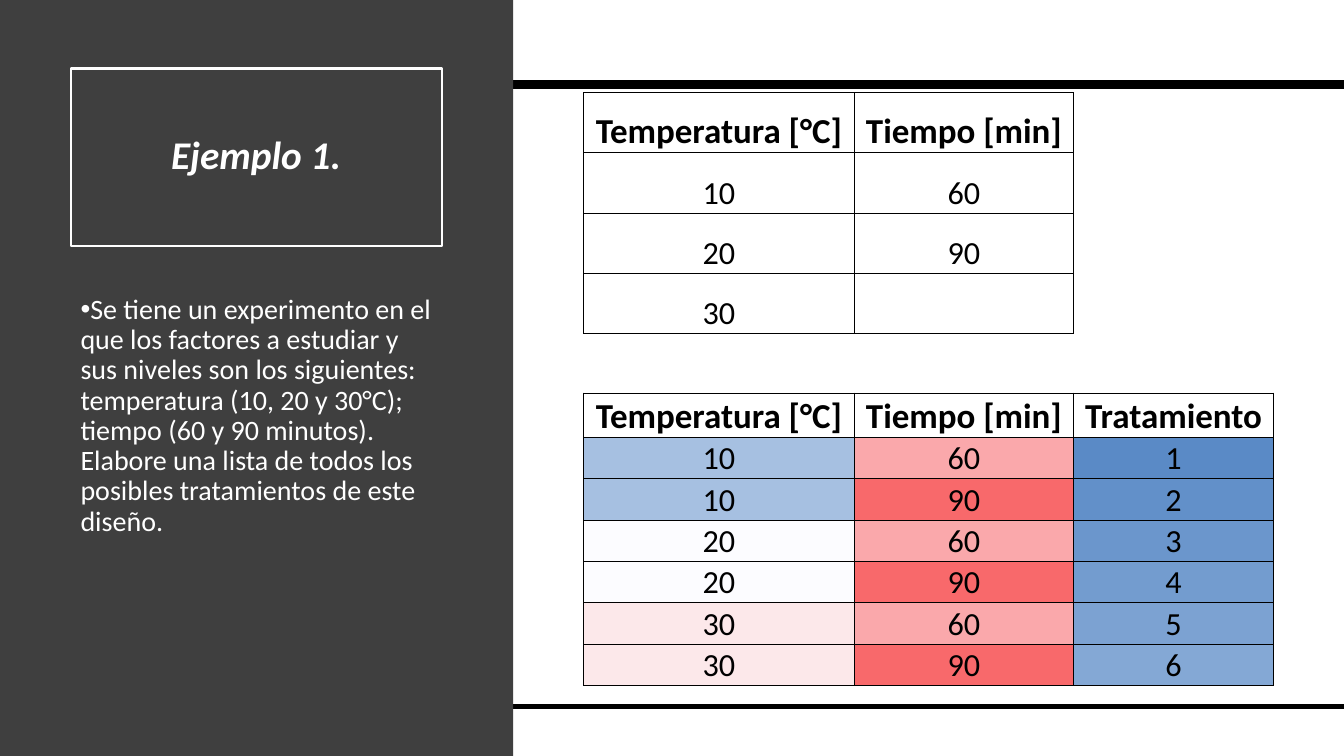
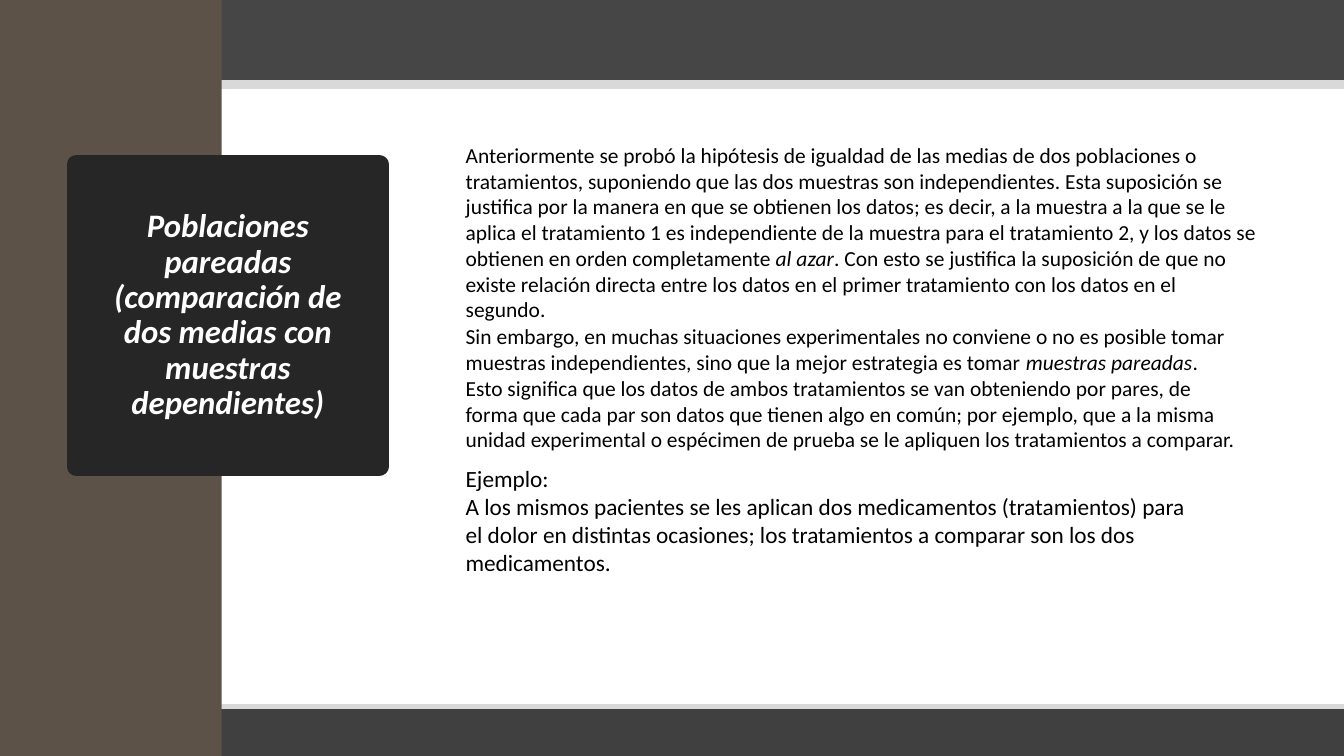
import pptx
import pptx.dml.color
import pptx.enum.shapes
import pptx.enum.text
import pptx.oxml.ns
import pptx.util
from dataclasses import dataclass
from typing import Optional

from lxml import etree
from pptx.util import Inches

ALIGN = pptx.enum.text.PP_ALIGN
ANCHOR = pptx.enum.text.MSO_ANCHOR
qn = pptx.oxml.ns.qn


@dataclass(frozen=True)
class Theme:
    font: str = "Calibri"
    white: str = "FFFFFF"
    black: str = "000000"
    charcoal: str = "3F3F3F"
    footer_gray: str = "404040"
    ink: str = "262626"
    rule_gray: str = "D9D9D9"
    brown: str = "5C5248"
    title: float = 28
    long_title: float = 23.4
    statement: float = 20
    body: float = 15.3
    example: float = 16.6
    table_head: float = 25
    table_body: float = 23
    no_style: str = "{2D5ABB26-0587-4C30-8999-92F81FD0307C}"


THEME = Theme()


@dataclass(frozen=True)
class Area:
    left: float
    top: float
    width: float
    height: float

    def lengths(self) -> tuple:
        return tuple(Inches(n) for n in (self.left, self.top, self.width, self.height))


@dataclass(frozen=True)
class Frame:
    """Colours of the bands and side panel around a slide."""
    header: str
    footer: str
    rule: str
    panel: str
    panel_width: float


@dataclass(frozen=True)
class TitleStyle:
    area: Area
    size: float
    fill: Optional[str]
    line: str
    line_width: float


@dataclass(frozen=True)
class Span:
    text: str
    italic: bool = False


@dataclass(frozen=True)
class TextBlock:
    area: Area
    size: float
    paras: tuple[tuple[Span, ...], ...]
    color: str = THEME.black


@dataclass(frozen=True)
class Cell:
    text: str
    fill: Optional[str] = None
    bold: bool = False


def rgb(color: str) -> pptx.dml.color.RGBColor:
    return pptx.dml.color.RGBColor.from_string(color)


def format_run(run, size: float, color: str, bold: bool = False, italic: bool = False) -> None:
    run.font.name = THEME.font
    run.font.size = pptx.util.Pt(size)
    run.font.color.rgb = rgb(color)
    run.font.bold = bold
    run.font.italic = italic


# Shared frame and title
def add_band(page, area: Area, fill: str, line: Optional[str] = None,
             width: float = 0, alpha: int = 100) -> None:
    band = page.shapes.add_shape(pptx.enum.shapes.MSO_SHAPE.RECTANGLE, *area.lengths())
    band.shadow.inherit = False
    band.fill.solid()
    band.fill.fore_color.rgb = rgb(fill)
    if alpha < 100:
        color = band.element.spPr.find(".//" + qn("a:srgbClr"))
        etree.SubElement(color, qn("a:alpha"), val=str(alpha * 1000))
    if line:
        band.line.color.rgb = rgb(line)
        band.line.width = pptx.util.Pt(width)
    else:
        band.line.fill.background()


def add_frame(page, frame: Frame) -> None:
    add_band(page, Area(-0.1, -0.07, 13.52, 0.91), frame.header, frame.rule, 6, alpha=85)
    add_band(page, Area(-0.1, 7.01, 13.52, 0.6), frame.footer, frame.rule, 3)
    add_band(page, Area(0, 0, frame.panel_width, 7.5), frame.panel)


def set_title(page, text: str, style: TitleStyle) -> None:
    title = page.shapes.title
    title.left, title.top, title.width, title.height = style.area.lengths()
    # Bring the title in front of the side panel
    title.element.getparent().append(title.element)
    if style.fill:
        title.fill.solid()
        title.fill.fore_color.rgb = rgb(style.fill)
    title.line.color.rgb = rgb(style.line)
    title.line.width = pptx.util.Pt(style.line_width)
    etree.SubElement(title.element.spPr.find(qn("a:ln")), qn("a:round"))
    frame = title.text_frame
    frame.text = text
    frame.word_wrap = True
    frame.auto_size = pptx.enum.text.MSO_AUTO_SIZE.NONE
    frame.vertical_anchor = ANCHOR.MIDDLE
    para = frame.paragraphs[0]
    para.alignment = ALIGN.CENTER
    para.line_spacing = 0.9
    for run in para.runs:
        format_run(run, style.size, THEME.white, bold=True, italic=True)


def add_page(deck, title: str, style: TitleStyle, frame: Frame):
    page = deck.slides.add_slide(deck.slide_layouts.get_by_name("Title Only"))
    add_frame(page, frame)
    set_title(page, title, style)
    return page


# Text
def add_text(page, block: TextBlock):
    box = page.shapes.add_textbox(*block.area.lengths())
    frame = box.text_frame
    frame.word_wrap = True
    for index, spans in enumerate(block.paras):
        para = frame.add_paragraph() if index else frame.paragraphs[0]
        for span in spans:
            run = para.add_run()
            run.text = span.text
            format_run(run, block.size, block.color, italic=span.italic)
    return box


def add_bullet(para) -> None:
    para.line_spacing = 0.9
    para.space_after = pptx.util.Pt(6)
    properties = para._p.get_or_add_pPr()
    properties.set("marL", "0")
    properties.set("indent", str(-Inches(0.25)))
    etree.SubElement(properties, qn("a:buFont"), typeface="Arial")
    etree.SubElement(properties, qn("a:buChar"), char="•")


# Tables
def set_border(cell, side: str) -> None:
    line = etree.SubElement(cell._tc.get_or_add_tcPr(), qn("a:ln" + side),
                            w=str(pptx.util.Pt(0.5)))
    fill = etree.SubElement(line, qn("a:solidFill"))
    etree.SubElement(fill, qn("a:srgbClr"), val=THEME.black)


def fill_cell(cell, content: Cell) -> None:
    cell.margin_left = cell.margin_right = cell.margin_top = Inches(0.02)
    cell.margin_bottom = 0
    cell.vertical_anchor = ANCHOR.BOTTOM
    if content.fill:
        cell.fill.solid()
        cell.fill.fore_color.rgb = rgb(content.fill)
    if content.text:
        para = cell.text_frame.paragraphs[0]
        para.text = content.text
        para.alignment = ALIGN.CENTER
        size = THEME.table_head if content.bold else THEME.table_body
        format_run(para.runs[0], size, THEME.black, content.bold)


def add_grid(page, area: Area, widths: list, heights: list,
             cells: dict[tuple[int, int], Cell]) -> None:
    """Draw a table in which only the listed cells are boxed."""
    table = page.shapes.add_table(len(heights), len(widths), *area.lengths()).table
    table.first_row = table.horz_banding = False
    table._tbl.tblPr.find(qn("a:tableStyleId")).text = THEME.no_style
    for column, width in zip(table.columns, widths):
        column.width = Inches(width)
    for row, height in zip(table.rows, heights):
        row.height = Inches(height)
    neighbours = {"L": (0, -1), "R": (0, 1), "T": (-1, 0), "B": (1, 0)}
    for r in range(len(heights)):
        for c in range(len(widths)):
            cell = table.cell(r, c)
            for side, (down, right) in neighbours.items():
                if (r, c) in cells or (r + down, c + right) in cells:
                    set_border(cell, side)
            cell.fill.background()
            if (r, c) in cells:
                fill_cell(cell, cells[r, c])


def factor_cells() -> dict[tuple[int, int], Cell]:
    """Factor levels on top, all treatments below a blank row."""
    headings = ("Temperatura [°C]", "Tiempo [min]", "Tratamiento")
    temperatures = {"10": "A6C0E1", "20": "FCFCFF", "30": "FCE8EA"}
    times = {"60": "FAA8AB", "90": "F8696B"}
    treatments = ("5A8AC6", "6290C9", "6B96CC", "739CCF", "7CA2D2", "84A8D5")
    cells = {(0, c): Cell(headings[c], bold=True) for c in range(2)}
    for r, level in enumerate(temperatures, 1):
        cells[r, 0] = Cell(level)
    for r, level in enumerate([*times, ""], 1):
        cells[r, 1] = Cell(level)
    cells.update({(5, c): Cell(text, bold=True) for c, text in enumerate(headings)})
    pairs = [(degrees, minutes) for degrees in temperatures for minutes in times]
    for number, ((degrees, minutes), shade) in enumerate(zip(pairs, treatments), 1):
        row = (Cell(degrees, temperatures[degrees]), Cell(minutes, times[minutes]),
               Cell(str(number), shade))
        cells.update({(5 + number, c): cell for c, cell in enumerate(row)})
    return cells


# Slides
def build_example(deck) -> None:
    style = TitleStyle(Area(0.7, 0.68, 3.68, 1.76), THEME.title, None, THEME.white, 1.5)
    frame = Frame(THEME.white, THEME.white, THEME.black, THEME.charcoal, 5.09)
    page = add_page(deck, "Ejemplo 1.", style, frame)
    statement = Span(
        "Se tiene un experimento en el que los factores a estudiar y sus niveles son los "
        "siguientes: temperatura (10, 20 y 30°C); tiempo (60 y 90 minutos). Elabore una "
        "lista de todos los posibles tratamientos de este diseño.")
    box = add_text(page, TextBlock(Area(0.7, 2.88, 3.68, 3.74), THEME.statement,
                                   ((statement,),), THEME.white))
    add_bullet(box.text_frame.paragraphs[0])
    heights = [2.98 / 5] * 5 + [0.44] + [0.41] * 6
    add_grid(page, Area(5.79, 0.92, 6.84, sum(heights)), [2.68, 2.18, 1.98], heights,
             factor_cells())


def build_paired(deck) -> None:
    style = TitleStyle(Area(0.76, 1.63, 3, 3), THEME.long_title, THEME.ink, THEME.ink, 13.75)
    frame = Frame(THEME.ink, THEME.footer_gray, THEME.rule_gray, THEME.brown, 2.2)
    page = add_page(deck, "Poblaciones pareadas (comparación de\vdos medias con muestras "
                    "dependientes)", style, frame)
    independent = (
        Span("Anteriormente se probó la hipótesis de igualdad de las medias de dos poblaciones "
             "o tratamientos, suponiendo que las dos muestras son independientes. Esta "
             "suposición se justifica por la manera en que se obtienen los datos; es decir, a "
             "la muestra a la que se le aplica el tratamiento 1 es independiente de la muestra "
             "para el tratamiento 2, y los datos se obtienen en orden completamente "),
        Span("al azar", italic=True),
        Span(". Con esto se justifica la suposición de que no existe relación directa entre "
             "los datos en el primer tratamiento con los datos en el segundo."))
    paired = (
        Span("Sin embargo, en muchas situaciones experimentales no conviene o no es posible "
             "tomar muestras independientes, sino que la mejor estrategia es tomar "),
        Span("muestras pareadas", italic=True),
        Span(". Esto significa que los datos de ambos tratamientos se van obteniendo por "
             "pares, de forma que cada par son datos que tienen algo en común; por ejemplo, "
             "que a la misma unidad experimental o espécimen de prueba se le apliquen los "
             "tratamientos a comparar."))
    example = (
        (Span("Ejemplo:"),),
        (Span("A los mismos pacientes se les aplican dos medicamentos (tratamientos) para"),),
        (Span("el dolor en distintas ocasiones; los tratamientos a comparar son los dos "
              "medicamentos."),))
    for block in (
        TextBlock(Area(4.52, 1.36, 8.05, 1.58), THEME.body, (independent,)),
        TextBlock(Area(4.52, 3.16, 7.86, 1.18), THEME.body, (paired,)),
        TextBlock(Area(4.52, 4.56, 7.86, 1.18), THEME.example, example),
    ):
        add_text(page, block)


def main() -> None:
    deck = pptx.Presentation()
    deck.slide_width, deck.slide_height = Inches(13.33), Inches(7.5)
    build_example(deck)
    build_paired(deck)
    deck.save("out.pptx")


if __name__ == "__main__":
    main()
